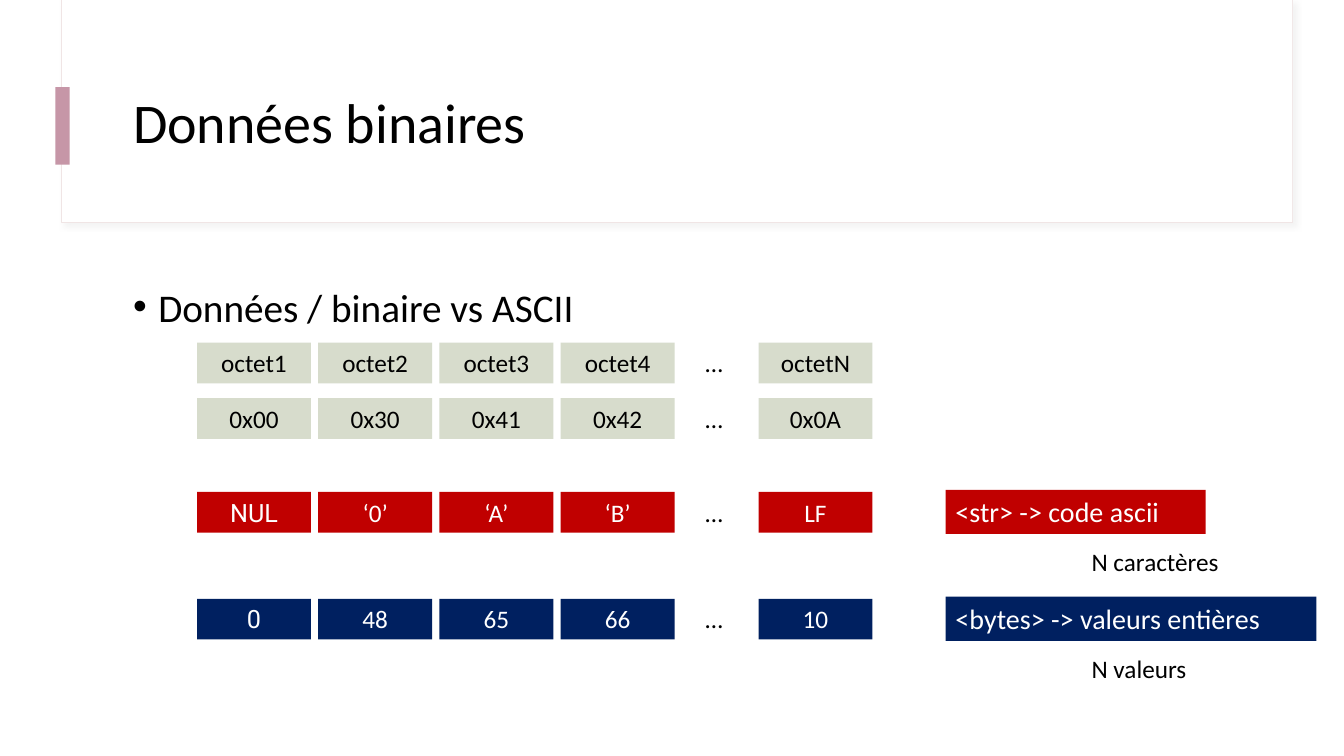
import dataclasses
import typing

import lxml.etree
import pptx
import pptx.dml.color
import pptx.enum.shapes
import pptx.enum.text
import pptx.oxml
import pptx.oxml.ns
import pptx.util

Align = pptx.enum.text.PP_ALIGN
Anchor = pptx.enum.text.MSO_ANCHOR
Fit = pptx.enum.text.MSO_AUTO_SIZE


@dataclasses.dataclass(frozen=True)
class Theme:
    white: str = "FFFFFF"
    black: str = "000000"
    rose: str = "C696A7"
    edge: str = "F0E5E5"
    shade: str = "D9D9D9"
    sage: str = "D7DCCC"
    red: str = "C00000"
    navy: str = "002060"
    font: str = "Calibri"
    odd: str = "Roboto"
    head: int = 40
    lead: int = 28
    label: int = 20
    small: int = 18


class Box(typing.NamedTuple):
    left: float
    top: float
    width: float
    height: float


class Row(typing.NamedTuple):
    top: float
    cells: tuple[str, ...]
    fill: str
    ink: str
    first: str
    gap: str | None = None


class Label(typing.NamedTuple):
    top: float
    text: str
    width: float
    fill: str
    note: str
    span: float


THEME = Theme()
WIDE, HIGH = pptx.util.Inches(13.333), pptx.util.Inches(7.5)
LEFT, STEP, CELL, TALL = 14.66, 9.02, 8.48, 5.39
DOTS, LAST = 51.75, 56.44
STR, BYTES = 65.07, 79.2

FRAMES = (
    (Box(4.58, 0, 91.58, 29.47), THEME.white, THEME.edge),
    (Box(4.65, 0, 91.5, 29.33), THEME.white, None),
    (Box(4.13, 11.52, 1.05, 10.27), THEME.rose, None),
)
ROWS = (
    Row(45.33, ("octet1", "octet2", "octet3", "octet4", "octetN"),
        THEME.sage, THEME.black, THEME.font),
    Row(52.67, ("0x00", "0x30", "0x41", "0x42", "0x0A"),
        THEME.sage, THEME.black, THEME.font),
    Row(STR, ("NUL", "‘0’", "‘A’", "‘B’", "LF"),
        THEME.red, THEME.white, THEME.odd, THEME.white),
    Row(BYTES, ("0", "48", "65", "66", "10"),
        THEME.navy, THEME.white, THEME.odd, THEME.white),
)
LABELS = (
    Label(STR, "<str> -> code ascii", 19.35, THEME.red, "N caractères", 12.3),
    Label(BYTES, "<bytes> -> valeurs entières", 27.6, THEME.navy,
          "N valeurs", 9.53),
)


def tint(code: str) -> pptx.dml.color.RGBColor:
    return pptx.dml.color.RGBColor.from_string(code)


def apply(thing: typing.Any, values: dict[str, typing.Any]) -> None:
    for name, value in values.items():
        setattr(thing, name, value)


def place(box: Box) -> dict[str, int]:
    return {
        "left": round(WIDE * box.left / 100),
        "top": round(HIGH * box.top / 100),
        "width": round(WIDE * box.width / 100),
        "height": round(HIGH * box.height / 100),
    }


def write(shape: typing.Any, text: str, size: int, ink: str = THEME.black,
          font: str = THEME.font, frame: dict | None = None,
          para: dict | None = None, bullet: bool = False) -> None:
    body = shape.text_frame
    body.text = text
    apply(body, frame or {})
    line = body.paragraphs[0]
    if bullet:
        props = line._p.get_or_add_pPr()
        indent = pptx.util.Inches(0.25)
        props.set("marL", str(indent))
        props.set("indent", str(-indent))
        mark = lxml.etree.SubElement(props, pptx.oxml.ns.qn("a:buFont"))
        mark.set("typeface", "Arial")
        mark = lxml.etree.SubElement(props, pptx.oxml.ns.qn("a:buChar"))
        mark.set("char", "•")
    apply(line, para or {})
    face = line.runs[0].font
    apply(face, {"size": pptx.util.Pt(size), "name": font, "bold": False})
    face.color.rgb = tint(ink)


def block(slide: typing.Any, box: Box, fill: str,
          edge: str | None = None) -> typing.Any:
    kind = pptx.enum.shapes.MSO_SHAPE.RECTANGLE
    shape = slide.shapes.add_shape(kind, **place(box))
    shape.shadow.inherit = False
    shape.fill.solid()
    shape.fill.fore_color.rgb = tint(fill)
    if edge:
        shape.line.color.rgb = tint(edge)
        shape.line.width = pptx.util.Pt(0.75)
    else:
        shape.line.fill.background()
    return shape


def shade(shape: typing.Any) -> None:
    space = pptx.oxml.ns.nsdecls("a")
    glow = pptx.oxml.parse_xml(
        f'<a:outerShdw {space} blurRad="50800" dist="38100" dir="2700000">'
        f'<a:srgbClr val="{THEME.shade}"><a:alpha val="30000"/></a:srgbClr>'
        "</a:outerShdw>")
    shape._element.spPr.find(pptx.oxml.ns.qn("a:effectLst")).append(glow)


def tag(slide: typing.Any, box: Box, text: str, size: int = THEME.small,
        ink: str = THEME.black, fill: str | None = None,
        font: str = THEME.font, mid: bool = False) -> None:
    if fill:
        shape = block(slide, box, fill)
    else:
        shape = slide.shapes.add_textbox(**place(box))
    write(shape, text, size, ink, font,
          {"word_wrap": mid, "auto_size": Fit.SHAPE_TO_FIT_TEXT,
           "vertical_anchor": Anchor.TOP},
          {"alignment": Align.CENTER if mid else Align.LEFT})


def draw_row(slide: typing.Any, row: Row) -> None:
    end = len(row.cells) - 1
    for spot, text in enumerate(row.cells):
        left = LAST if spot == end else LEFT + spot * STEP
        font = THEME.font if spot else row.first
        tag(slide, Box(left, row.top, CELL, TALL), text,
            ink=row.ink, fill=row.fill, font=font, mid=True)
    tag(slide, Box(DOTS, row.top, 3.38, TALL), "…", fill=row.gap)


def draw_label(slide: typing.Any, label: Label) -> None:
    tag(slide, Box(70.35, label.top - 0.27, label.width, 5.83), label.text,
        THEME.label, THEME.white, label.fill)
    tag(slide, Box(80.48, label.top + 6.6, label.span, TALL), label.note)


def main() -> None:
    deck = pptx.Presentation()
    apply(deck, {"slide_width": WIDE, "slide_height": HIGH})
    slide = deck.slides.add_slide(deck.slide_layouts[1])
    frames = [block(slide, *frame) for frame in FRAMES]
    shade(frames[0])

    title, body = slide.shapes.title, slide.placeholders[1]
    for holder, box in ((title, Box(9.15, 8, 83.4, 17.2)),
                        (body, Box(9.15, 36.13, 40.5, 53.87))):
        holder.element.getparent().append(holder.element)
        apply(holder, place(box))
    frame = {"word_wrap": True, "auto_size": Fit.NONE}
    para = {"alignment": Align.LEFT, "space_before": pptx.util.Pt(0)}
    write(title, "Données binaires", THEME.head,
          frame=frame | {"vertical_anchor": Anchor.MIDDLE},
          para=para | {"line_spacing": 0.9})
    write(body, "Données / binaire vs ASCII", THEME.lead,
          frame=frame | {"vertical_anchor": Anchor.TOP},
          para=para | {"line_spacing": 1.1}, bullet=True)

    for row in ROWS:
        draw_row(slide, row)
    for label in LABELS:
        draw_label(slide, label)
    deck.save("out.pptx")


if __name__ == "__main__":
    main()
